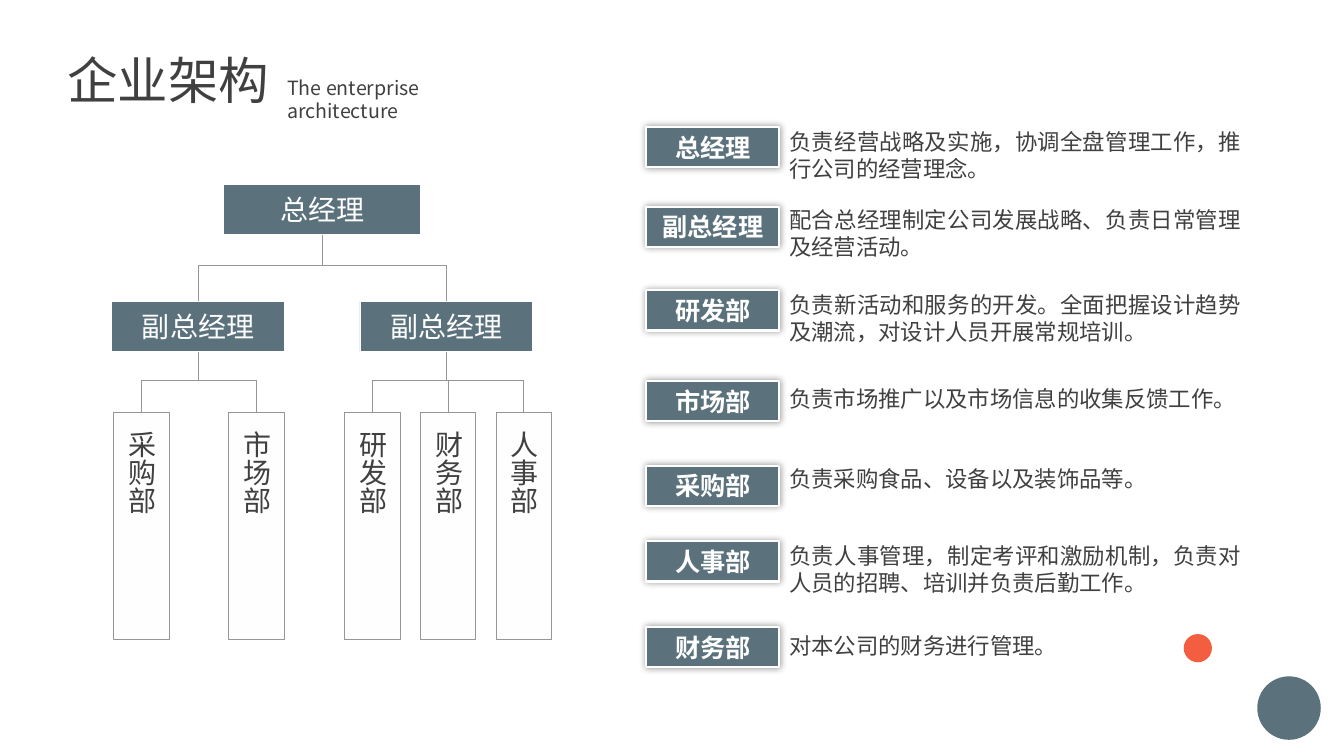
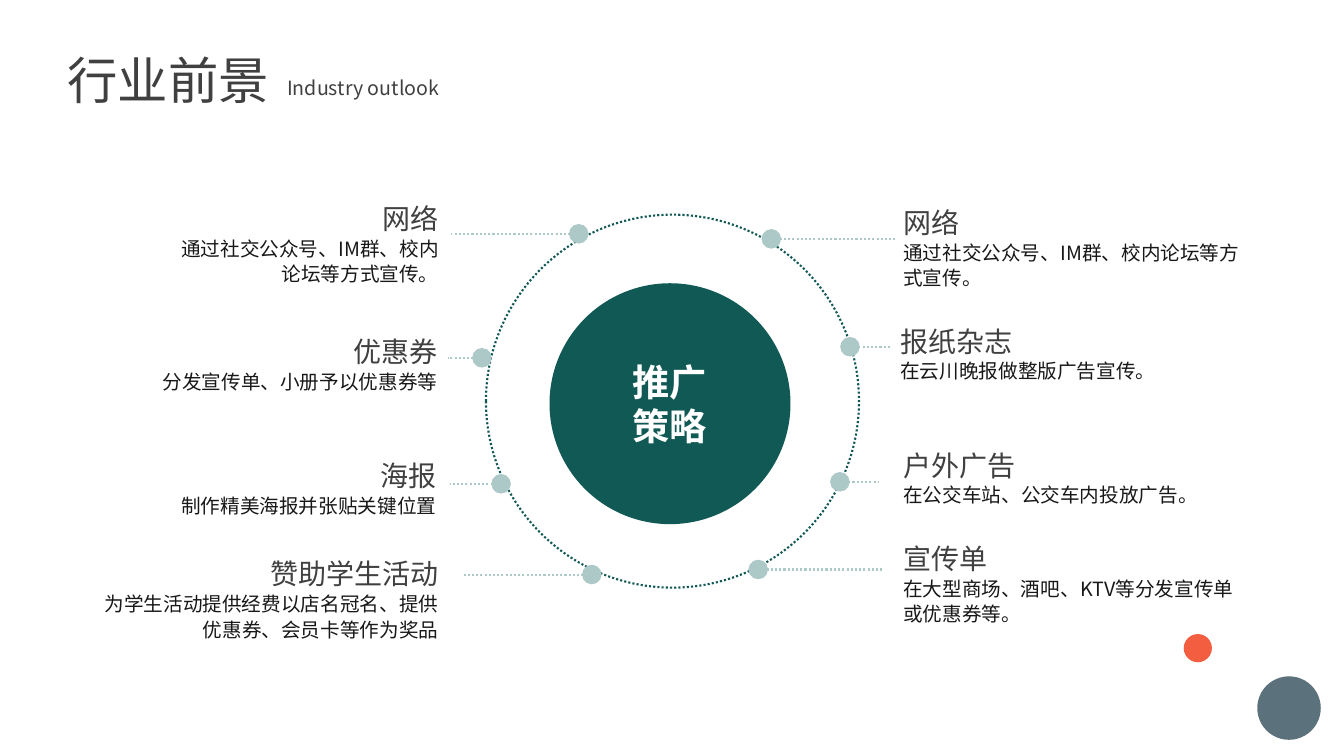
from lxml import etree
from pptx import Presentation
from pptx.dml.color import RGBColor
from pptx.enum.dml import MSO_LINE
from pptx.enum.shapes import MSO_CONNECTOR, MSO_SHAPE
from pptx.enum.text import MSO_ANCHOR, MSO_AUTO_SIZE, PP_ALIGN
from pptx.oxml.ns import qn
from pptx.util import Inches, Pt

RECT, OVAL = MSO_SHAPE.RECTANGLE, MSO_SHAPE.OVAL
STRAIGHT, DOTS = MSO_CONNECTOR.STRAIGHT, MSO_LINE.ROUND_DOT
LEFT, MID, RIGHT, JUST = PP_ALIGN.LEFT, PP_ALIGN.CENTER, PP_ALIGN.RIGHT, PP_ALIGN.JUSTIFY
TOP, CENTER = MSO_ANCHOR.TOP, MSO_ANCHOR.MIDDLE


class Theme:
    font = "Noto Sans CJK SC"
    slate, coral = "5B727D", "F35E40"
    teal, mint = "115955", "ACC9C7"
    white, paper, rule = "FFFFFF", "FEFEFE", "969696"
    ink, dark = "404040", "181818"
    title, hub, node, tag, text, small = 36, 26.6, 20, 18, 16, 14
    thin, bold, rim = 0.63, 1.5, 1


def style(shape, paras=(), fill=None, line=None, weight=Theme.thin, dash=None,
          align=LEFT, lead=None, **frame):
    """Format a shape; paras holds (text, size, colour, bold) tuples."""
    shape.shadow.inherit = False
    if fill:
        shape.fill.solid()
        shape.fill.fore_color.rgb = RGBColor.from_string(fill)
    else:
        shape.fill.background()
    if line:
        shape.line.color.rgb = RGBColor.from_string(line)
        shape.line.width = Pt(weight)
        shape.line.dash_style = dash
    else:
        shape.line.fill.background()
    body = shape.text_frame
    settings = {"word_wrap": True, "auto_size": MSO_AUTO_SIZE.NONE, "vertical_anchor": TOP}
    for name, value in (settings | frame).items():
        setattr(body, name, value)
    for i, (text, size, color, bold) in enumerate(paras):
        para = body.add_paragraph() if i else body.paragraphs[0]
        para.alignment = align
        if lead:
            para.line_spacing = Pt(lead)
        run = para.add_run()
        run.text = text
        for name, value in {"size": Pt(size), "bold": bold, "name": Theme.font}.items():
            setattr(run.font, name, value)
        run.font.color.rgb = RGBColor.from_string(color)
        etree.SubElement(run.font._element, qn("a:ea"), typeface=Theme.font)
    return shape


def wire(slide, start, end, color=Theme.rule, weight=Theme.thin, dash=None):
    ends = [Inches(v) for v in (*start, *end)]
    link = slide.shapes.add_connector(STRAIGHT, *ends)
    link.line.color.rgb = RGBColor.from_string(color)
    link.line.width = Pt(weight)
    link.line.dash_style = dash
    etree.SubElement(link._element.spPr, qn("a:effectLst"))
    return link


prs = Presentation()
prs.slide_width, prs.slide_height = Inches(13.33), Inches(7.5)
layout = prs.slide_layouts[5]
spot = layout.placeholders[0]
for name, value in {"left": 0.57, "top": 0.44, "width": 2.24, "height": 0.71}.items():
    setattr(spot, name, Inches(value))

# Shared heading and corner dots
slides = []
for title, sub in [("企业架构", "The enterprise architecture"), ("行业前景", "Industry outlook")]:
    slide = prs.slides.add_slide(layout)
    for x, y, size, color in [(12.47, 6.71, 0.63, Theme.slate), (11.74, 6.29, 0.28, Theme.coral)]:
        box = [Inches(v) for v in (x, y, size, size)]
        style(slide.shapes.add_shape(OVAL, *box), fill=color)
    style(slide.shapes.title, [(title, Theme.title, Theme.ink, False)])
    box = [Inches(v) for v in (2.75, 0.7, 2.6, 0.57)]
    style(slide.shapes.add_textbox(*box), [(sub, Theme.small, Theme.ink, False)])
    slides.append(slide)
chart, plan = slides

# Organisation tree: each node is (text, left)
PAD = {"margin_left": 0, "margin_right": 0, "margin_bottom": 0, "vertical_anchor": CENTER}
LEVELS = [  # top, width, height, fill, line, text colour, nodes
    (1.83, 1.95, 0.5, Theme.slate, Theme.white, Theme.white, [("总经理", 2.22)]),
    (2.99, 1.71, 0.5, Theme.slate, Theme.white, Theme.white,
     [("副总经理", 1.11), ("副总经理", 3.57)]),
    (4.09, 0.55, 2.25, Theme.paper, Theme.rule, Theme.ink,
     [("采购部", 1.13), ("市场部", 2.27), ("研发部", 3.42), ("财务部", 4.17), ("人事部", 4.92)]),
]
rows = []
for top, width, height, fill, line, color, nodes in LEVELS:
    tall = height > width
    row = []
    for text, left in nodes:
        box = [Inches(v) for v in (left, top, width, height)]
        node = style(chart.shapes.add_shape(RECT, *box), [(text, Theme.node, color, False)],
                     fill=fill, line=line, align=LEFT if tall else MID,
                     margin_top=Inches(0.18 if tall else 0), **PAD)
        if tall:
            node.text_frame._txBody.bodyPr.set("vert", "eaVert")
        row.append((node, left + width / 2, top, top + height))
    rows.append(row)

heads, mids, leaves = rows
for parent, kids, bar in [(heads[0], mids, 2.63), (mids[0], leaves[:2], 3.77),
                          (mids[1], leaves[2:], 3.77)]:
    node, x, _, low = parent
    wire(chart, (x, low), (x, bar)).begin_connect(node, 2)
    wire(chart, (kids[0][1], bar), (kids[-1][1], bar))
    for node, x, top, _ in kids:
        wire(chart, (x, bar), (x, top)).end_connect(node, 0)

# Duties: tag, tag top, text top, text
DUTIES = [
    ("总经理", 1.26, 1.22, "负责经营战略及实施，协调全盘管理工作，推行公司的经营理念。"),
    ("副总经理", 2.05, 2, "配合总经理制定公司发展战略、负责日常管理及经营活动。"),
    ("研发部", 2.88, 2.84, "负责新活动和服务的开发。全面把握设计趋势及潮流，对设计人员开展常规培训。"),
    ("市场部", 3.78, 3.77, "负责市场推广以及市场信息的收集反馈工作。"),
    ("采购部", 4.62, 4.57, "负责采购食品、设备以及装饰品等。"),
    ("人事部", 5.37, 5.33, "负责人事管理，制定考评和激励机制，负责对人员的招聘、培训并负责后勤工作。"),
    ("财务部", 6.22, 6.22, "对本公司的财务进行管理。"),
]
for name, top, y, text in DUTIES:
    box = [Inches(v) for v in (6.41, top, 1.32, 0.4)]
    tag = style(chart.shapes.add_shape(RECT, *box), [(name, Theme.tag, Theme.white, True)],
                fill=Theme.slate, line=Theme.white, weight=Theme.bold, align=MID,
                margin_top=0, **PAD)
    glow = etree.SubElement(tag._element.spPr.find(qn("a:effectLst")), qn("a:outerShdw"),
                            blurRad=str(Pt(5)), dist="0", dir="0", algn="ctr", rotWithShape="0")
    black = etree.SubElement(glow, qn("a:srgbClr"), val="000000")
    etree.SubElement(black, qn("a:alpha"), val="40000")
    box = [Inches(v) for v in (7.73, y, 4.68, 0.64)]
    style(chart.shapes.add_textbox(*box), [(text, Theme.text, Theme.ink, False)], align=JUST)

# Promotion wheel
box = [Inches(v) for v in (5.45, 2.81, 2.39, 2.39)]
style(plan.shapes.add_shape(OVAL, *box),
      [(text, Theme.hub, Theme.white, True) for text in ("推广", "策略")],
      fill=Theme.teal, align=MID, vertical_anchor=CENTER)
box = [Inches(v) for v in (4.82, 2.13, 3.7, 3.7)]
style(plan.shapes.add_shape(OVAL, *box), line=Theme.teal, weight=Theme.bold, dash=DOTS)

DOT = 0.18
WAYS = [  # dot centre, line end, text left, top and width, side, heading, text
    (5.74, 2.32, 4.47, 1.56, 2.03, 2.89, RIGHT, "网络", "通过社交公众号、IM群、校内论坛等方式宣传。"),
    (4.78, 3.55, 4.44, 1.43, 3.35, 3.01, RIGHT, "优惠券", "分发宣传单、小册予以优惠券等"),
    (4.97, 4.8, 4.46, 0.79, 4.58, 3.64, RIGHT, "海报", "制作精美海报并张贴关键位置"),
    (5.87, 5.7, 4.6, 0.75, 5.56, 3.7, RIGHT, "赞助学生活动",
     "为学生活动提供经费以店名冠名、提供优惠券、会员卡等作为奖品"),
    (7.65, 2.37, 8.9, 8.86, 2.07, 3.7, LEFT, "网络", "通过社交公众号、IM群、校内论坛等方式宣传。"),
    (8.43, 3.44, 8.83, 8.83, 3.25, 3.55, LEFT, "报纸杂志", "在云川晚报做整版广告宣传。"),
    (8.33, 4.78, 8.72, 8.86, 4.48, 3.58, LEFT, "户外广告", "在公交车站、公交车内投放广告。"),
    (7.52, 5.65, 8.77, 8.86, 5.41, 3.54, LEFT, "宣传单",
     "在大型商场、酒吧、KTV等分发宣传单或优惠券等。"),
]
for x, y, end, left, top, width, side, head, text in WAYS:
    wire(plan, (x, y), (end, y), Theme.mint, Theme.bold, DOTS)
    box = [Inches(v) for v in (x - DOT / 2, y - DOT / 2, DOT, DOT)]
    style(plan.shapes.add_shape(OVAL, *box), fill=Theme.mint, line=Theme.mint, weight=Theme.rim)
    box = [Inches(v) for v in (left, top, width, 0.86)]
    style(plan.shapes.add_textbox(*box),
          [(head, Theme.node, Theme.ink, False), (text, Theme.small, Theme.dark, False)],
          align=side, lead=18)

prs.save("out.pptx")
